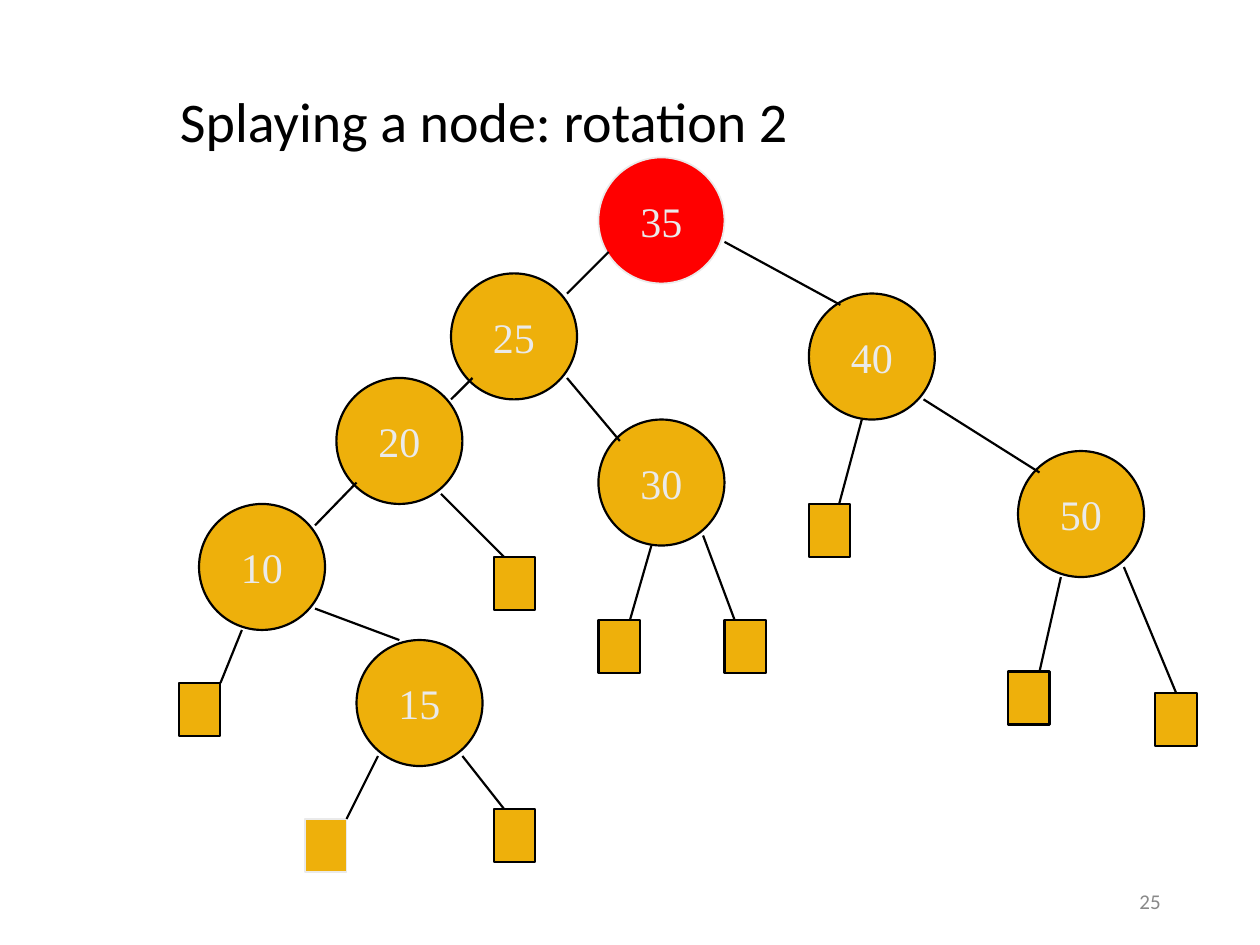
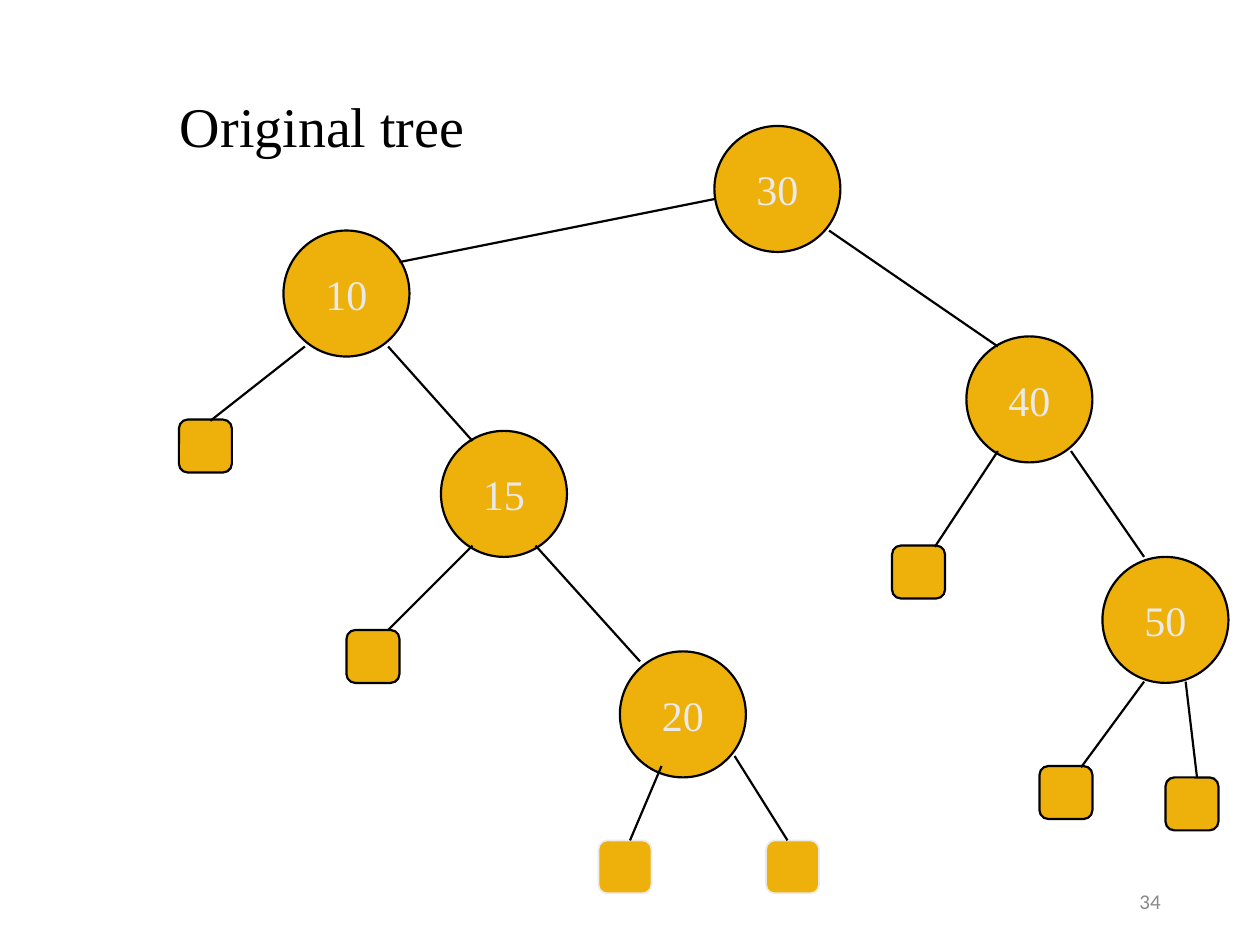
from dataclasses import dataclass

from lxml import etree
from pptx import Presentation
from pptx.dml.color import RGBColor
from pptx.enum import shapes, text
from pptx.oxml import ns
from pptx.util import Inches, Pt


@dataclass(frozen=True)
class Theme:
    gold: str = "EEB00B"
    red: str = "FF0000"
    black: str = "000000"
    pale: str = "EAEAEA"
    gray: str = "898989"
    sans: str = "Calibri"
    serif: str = "Times New Roman"
    title: int = 32
    key: int = 24
    page: int = 12
    line: float = 1.25
    thin: float = 1


THEME = Theme()
KIND = shapes.MSO_SHAPE
ALIGN = text.PP_ALIGN
NODE = (1, 1)
TITLE = (1.33, 0.33, 8.5, 1.32)
PAGE = (7.06, 6.95, 2.25, 0.4)

# nodes: key -> left, top; leaves: left, top; edges: parent end, child end
TREES = [
    {
        "title": "Splaying a node: rotation 2",
        "font": THEME.sans,
        "space": 0.9,
        "page": "25",
        "splayed": "35",
        "nodes": {
            "50": (8.08, 3.58), "35": (4.75, 1.25), "30": (4.75, 3.33),
            "40": (6.42, 2.33), "25": (3.58, 2.17), "20": (2.67, 3),
            "10": (1.58, 4), "15": (2.83, 5.08),
        },
        "leaf": (KIND.RECTANGLE, 0.33, 0.42),
        "leaves": [
            (5.75, 4.92), (1.42, 5.42), (3.92, 4.42), (4.75, 4.92),
            (6.42, 4), (3.92, 6.42), (9.17, 5.5), (8, 5.33),
        ],
        "pale": [(2.42, 6.5)],
        "edges": [
            (5.75, 1.92, 6.67, 2.42), (7.33, 3.17, 8.25, 3.75),
            (4.83, 2, 4.5, 2.33), (3.75, 3, 3.58, 3.17),
            (2.83, 3.83, 2.5, 4.17), (4.5, 3, 4.92, 3.5),
            (3.5, 3.92, 4, 4.42), (1.92, 5, 1.75, 5.42),
            (2.5, 4.83, 3.17, 5.08), (3, 6, 2.75, 6.5),
            (3.67, 6, 4, 6.42), (5.17, 4.33, 5, 4.92),
            (5.58, 4.25, 5.83, 4.92), (6.84, 3.33, 6.66, 4),
            (8.42, 4.58, 8.25, 5.33), (8.92, 4.5, 9.33, 5.5),
        ],
    },
    {
        "title": "Original tree",
        "font": THEME.serif,
        "space": 1.0,
        "page": "34",
        "splayed": None,
        "nodes": {
            "30": (5.67, 1), "15": (3.5, 3.42), "10": (2.25, 1.83),
            "20": (4.92, 5.17), "40": (7.67, 2.67), "50": (8.75, 4.42),
        },
        "leaf": (KIND.ROUNDED_RECTANGLE, 0.42, 0.42),
        "leaves": [
            (2.75, 5), (8.25, 6.08), (9.25, 6.17), (7.08, 4.33), (1.42, 3.33),
        ],
        "pale": [(4.75, 6.67), (6.08, 6.67)],
        "edges": [
            (5.67, 1.58, 3.17, 2.08), (3.08, 2.75, 3.75, 3.5),
            (6.58, 1.83, 7.92, 2.75), (8.5, 3.58, 9.08, 4.42),
            (4.25, 4.33, 5.08, 5.25), (2.42, 2.75, 1.67, 3.34),
            (3.75, 4.33, 3.08, 5), (5.25, 6.08, 5, 6.67),
            (5.83, 6, 6.25, 6.67), (9.08, 5.41, 8.58, 6.09),
            (7.92, 3.58, 7.42, 4.34), (9.41, 5.41, 9.5, 6.17),
        ],
    },
]


def color(code):
    return RGBColor.from_string(code)


def write(shape, words, size, font, ink, align, wrap=True, space=None):
    frame = shape.text_frame
    frame.word_wrap = wrap
    frame.vertical_anchor = text.MSO_ANCHOR.MIDDLE
    par = frame.paragraphs[0]
    par.text = words
    par.alignment = align
    par.line_spacing = space
    par.font.size = Pt(size)
    par.font.name = font
    par.font.color.rgb = color(ink)


def label(slide, box, *args, **more):
    write(slide.shapes.add_textbox(*map(Inches, box)), *args, **more)


def draw(slide, kind, spot, size, fill=THEME.gold, pale=False):
    shape = slide.shapes.add_shape(kind, *map(Inches, spot + size))
    shape.shadow.inherit = False
    shape.fill.solid()
    shape.fill.fore_color.rgb = color(fill)
    shape.line.color.rgb = color(THEME.pale if pale else THEME.black)
    shape.line.width = Pt(THEME.thin if pale else THEME.line)
    return shape


def link(slide, edge, leaves):
    """Draw an edge, joined to a leaf when it ends at the middle of its top."""
    line = slide.shapes.add_connector(
        shapes.MSO_CONNECTOR.STRAIGHT, *map(Inches, edge))
    line.line.color.rgb = color(THEME.black)
    line.line.width = Pt(THEME.line)
    etree.SubElement(line._element.spPr, ns.qn("a:effectLst"))
    x, y = map(Inches, edge[2:])
    near = Inches(0.01)
    for leaf in leaves:
        mid = leaf.left + leaf.width / 2
        if abs(mid - x) < near and abs(leaf.top - y) < near:
            line.end_connect(leaf, 0)


def build(slide, tree):
    label(slide, TITLE, tree["title"], THEME.title, tree["font"],
          THEME.black, ALIGN.LEFT, space=tree["space"])
    label(slide, PAGE, tree["page"], THEME.page, THEME.sans,
          THEME.gray, ALIGN.RIGHT)
    for key, spot in tree["nodes"].items():
        hot = key == tree["splayed"]
        node = draw(slide, KIND.OVAL, spot, NODE,
                    THEME.red if hot else THEME.gold, hot)
        write(node, key, THEME.key, THEME.serif, THEME.pale,
              ALIGN.CENTER, wrap=False)
    kind, *size = tree["leaf"]
    leaves = [draw(slide, kind, spot, tuple(size), pale=spot in tree["pale"])
              for spot in tree["leaves"] + tree["pale"]]
    for edge in tree["edges"]:
        link(slide, edge, leaves)


def main():
    deck = Presentation()
    deck.slide_width, deck.slide_height = Inches(10), Inches(7.5)
    for tree in TREES:
        build(deck.slides.add_slide(deck.slide_layouts[6]), tree)
    deck.save("out.pptx")


if __name__ == "__main__":
    main()
